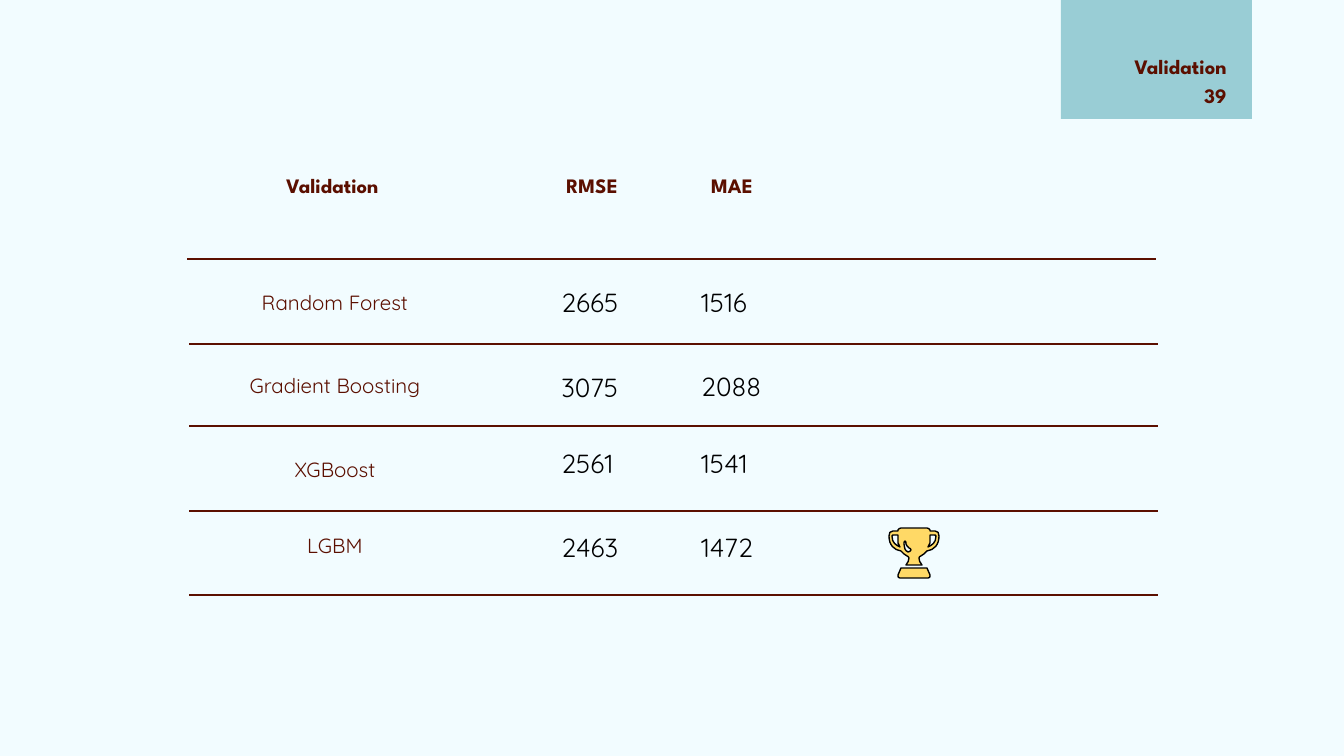
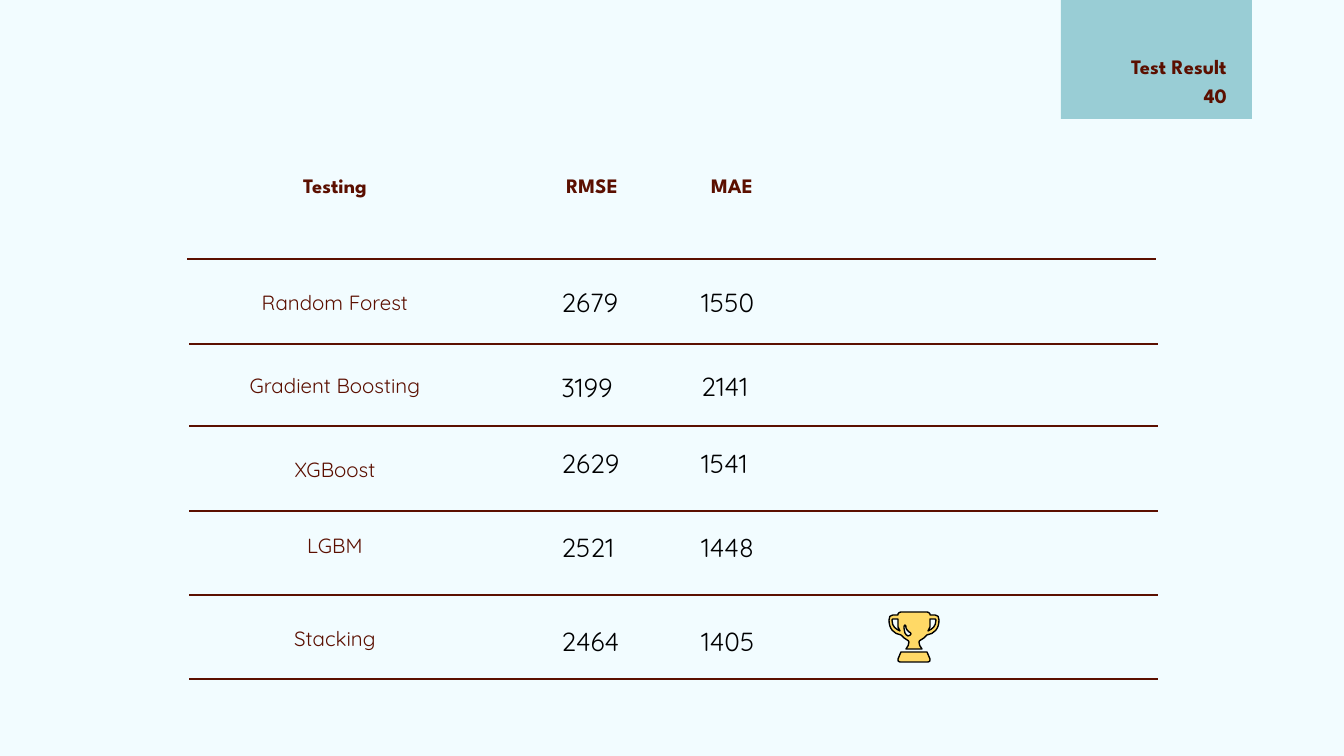
from dataclasses import dataclass

from lxml.etree import SubElement
from pptx import Presentation
from pptx.dml.color import RGBColor
from pptx.enum.shapes import MSO_CONNECTOR, MSO_SHAPE
from pptx.enum.text import MSO_ANCHOR, PP_ALIGN
from pptx.oxml.ns import qn
from pptx.util import Emu, Pt

PX_PER_INCH = 134.4


def px(n):
    return Emu(round(n * 914400 / PX_PER_INCH))


@dataclass(frozen=True)
class Theme:
    paper: str = "F2FCFF"
    band: str = "99CDD5"
    brown: str = "5B0F00"
    black: str = "000000"
    gold: str = "FFD966"
    heading_font: str = "League Spartan"
    body_font: str = "Quicksand"
    label_size: int = 11
    value_size: int = 14
    rule_width: float = 1.5
    outline_width: float = 0.75


THEME = Theme()
HEADING = (THEME.heading_font, THEME.label_size, THEME.brown, True)
LABEL = (THEME.body_font, THEME.label_size, THEME.brown, False)
VALUE = (THEME.body_font, THEME.value_size, THEME.black, False)

BAND_BOX = (1061, 0, 191, 119)
TABLE_BOX = (189, 160, 969, 519)
TROPHY_LEFT = 700
TROPHY_RISE = 67  # height of the trophy's top above the rule under its row
HEADER_RULE = 99

# Tops of the label, RMSE and MAE boxes and of the closing rule, within the table
ROW_TOPS = [
    (118, 113, 113, 184),
    (201, 198, 197, 266),
    (285, 274, 274, 351),
    (361, 358, 358, 435),
    (454, 452, 452, 519),
]

# Each outline is a start point, then line ends (1 point) or curves (3 points)
CUP_LEFT = [
    [(12, 0)], [(11, 0), (9, 1), (9, 2)], [(9, 3)], [(4, 3)],
    [(1, 3), (0, 5), (0, 8)], [(0, 17), (5, 22), (12, 23)],
    [(16, 28), (20, 28), (20, 30)], [(20, 32), (19, 35), (17, 37)],
]
HANDLE_HOLE = [
    [(9, 7)], [(9, 15)], [(9, 16), (11, 18), (11, 19)],
    [(7, 17), (3, 15), (3, 8)], [(3, 7), (4, 7), (5, 7)],
]
SHINE = [
    [(16, 13)], [(17, 13), (17, 15), (17, 16)], [(17, 17), (19, 19), (20, 20)],
    [(21, 20), (22, 21), (22, 22)], [(22, 23), (20, 24), (19, 24)],
    [(16, 23), (15, 19), (15, 16)], [(15, 15), (15, 13), (16, 13)],
]
BASE_LEFT = [[(12, 40)], [(9, 47)], [(9, 49), (9, 50), (11, 50)]]
TROPHY_WIDTH = 50

# Band title, slide number, first heading with its left and width, scores
SLIDES = [
    ("Validation", "39", ("Validation", 69, 149), [
        ("Random Forest", "2665", "1516"),
        ("Gradient Boosting", "3075", "2088"),
        ("XGBoost", "2561", "1541"),
        ("LGBM", "2463", "1472"),
    ]),
    ("Test Result", "40", ("Testing", 80, 132), [
        ("Random Forest", "2679", "1550"),
        ("Gradient Boosting", "3199", "2141"),
        ("XGBoost", "2629", "1541"),
        ("LGBM", "2521", "1448"),
        ("Stacking", "2464", "1405"),
    ]),
]


def rgb(value):
    return RGBColor.from_string(value)


def add_text(s, box, text, style, align, anchor=MSO_ANCHOR.TOP):
    font, size, color, bold = style
    tf = s.shapes.add_textbox(*map(px, box)).text_frame
    tf.word_wrap = True
    tf.vertical_anchor = anchor
    tf.margin_left = tf.margin_right = tf.margin_top = tf.margin_bottom = Pt(7.2)
    p = tf.paragraphs[0]
    p.alignment = align
    r = p.add_run()
    r.text = text
    r.font.name = font
    r.font.size = Pt(size)
    r.font.bold = bold
    r.font.color.rgb = rgb(color)


def add_rule(s, left, y, width):
    line = s.shapes.add_connector(
        MSO_CONNECTOR.STRAIGHT, px(left + width), px(y), px(left), px(y))
    line.line.color.rgb = rgb(THEME.brown)
    line.line.width = Pt(THEME.rule_width)
    SubElement(line._element.spPr, qn("a:effectLst"))


def mirrored(outline):
    """Flip an outline left to right and run it backwards."""
    points = [(TROPHY_WIDTH - x, y) for seg in outline for x, y in seg]
    result = [[points.pop()]]
    for seg in reversed(outline[1:]):
        result.append([points.pop() for _ in seg])
    return result


def bend(sp, outlines):
    """Merge each three line ends that stand for a curve into one Bézier."""
    line_ends = iter(list(sp._element.iter(qn("a:lnTo"))))
    for outline in outlines:
        for seg in outline[1:]:
            first, *others = [next(line_ends) for _ in seg]
            if others:
                first.tag = qn("a:cubicBezTo")
                for line_end in others:
                    first.append(line_end[0])
                    line_end.getparent().remove(line_end)


def add_outline(shapes, left, top, outlines):
    placed = [[(px(left + x), px(top + y)) for seg in o for x, y in seg]
              for o in outlines]
    builder = shapes.build_freeform(*placed[0][0])
    builder.add_line_segments(placed[0][1:], close=True)
    for points in placed[1:]:
        builder.move_to(*points[0])
        builder.add_line_segments(points[1:], close=True)
    sp = builder.convert_to_shape()
    bend(sp, outlines)
    sp.shadow.inherit = False
    sp.fill.solid()
    sp.fill.fore_color.rgb = rgb(THEME.gold)
    sp.line.color.rgb = rgb(THEME.black)
    sp.line.width = Pt(THEME.outline_width)


def add_trophy(s, left, top):
    shapes = s.shapes.add_group_shape().shapes
    add_outline(shapes, left, top,
                [CUP_LEFT + mirrored(CUP_LEFT), HANDLE_HOLE,
                 mirrored(HANDLE_HOLE), SHINE])
    add_outline(shapes, left, top, [BASE_LEFT + mirrored(BASE_LEFT)])


def add_band(s, box, title, number):
    left, top, _, _ = box
    sp = s.shapes.add_shape(MSO_SHAPE.RECTANGLE, *map(px, box))
    sp.shadow.inherit = False
    sp.fill.solid()
    sp.fill.fore_color.rgb = rgb(THEME.band)
    sp.line.fill.background()
    add_text(s, (left + 7, top + 20, 172, 71), title, HEADING,
             PP_ALIGN.RIGHT, MSO_ANCHOR.BOTTOM)
    add_text(s, (left + 98, top + 71, 81, 58), number, HEADING, PP_ALIGN.RIGHT)


def add_scores(s, box, heading, rows):
    """Draw the ruled score list; the last row wins the trophy."""
    left, top, width, _ = box
    for text, x, w in (heading, ("RMSE", 337, 132), ("MAE", 477, 132)):
        add_text(s, (left + x, top + 1, w, 48), text, HEADING, PP_ALIGN.CENTER)
    add_rule(s, left - 2, top + HEADER_RULE, width)

    for (label, rmse, mae), (label_y, rmse_y, mae_y, rule_y) in zip(rows, ROW_TOPS):
        add_text(s, (left, top + label_y, 292, 48), label, LABEL, PP_ALIGN.CENTER)
        for x, y, value in ((359, rmse_y, rmse), (499, mae_y, mae)):
            add_text(s, (left + x, top + y, 90, 35), value, VALUE, PP_ALIGN.LEFT)
        add_rule(s, left, top + rule_y, width)
    add_trophy(s, left + TROPHY_LEFT, top + rule_y - TROPHY_RISE)


def main():
    prs = Presentation()
    prs.slide_width, prs.slide_height = px(1344), px(756)
    for title, number, heading, rows in SLIDES:
        s = prs.slides.add_slide(prs.slide_layouts[6])
        s.background.fill.solid()
        s.background.fill.fore_color.rgb = rgb(THEME.paper)
        add_band(s, BAND_BOX, title, number)
        add_scores(s, TABLE_BOX, heading, rows)
    prs.save("out.pptx")


if __name__ == "__main__":
    main()
